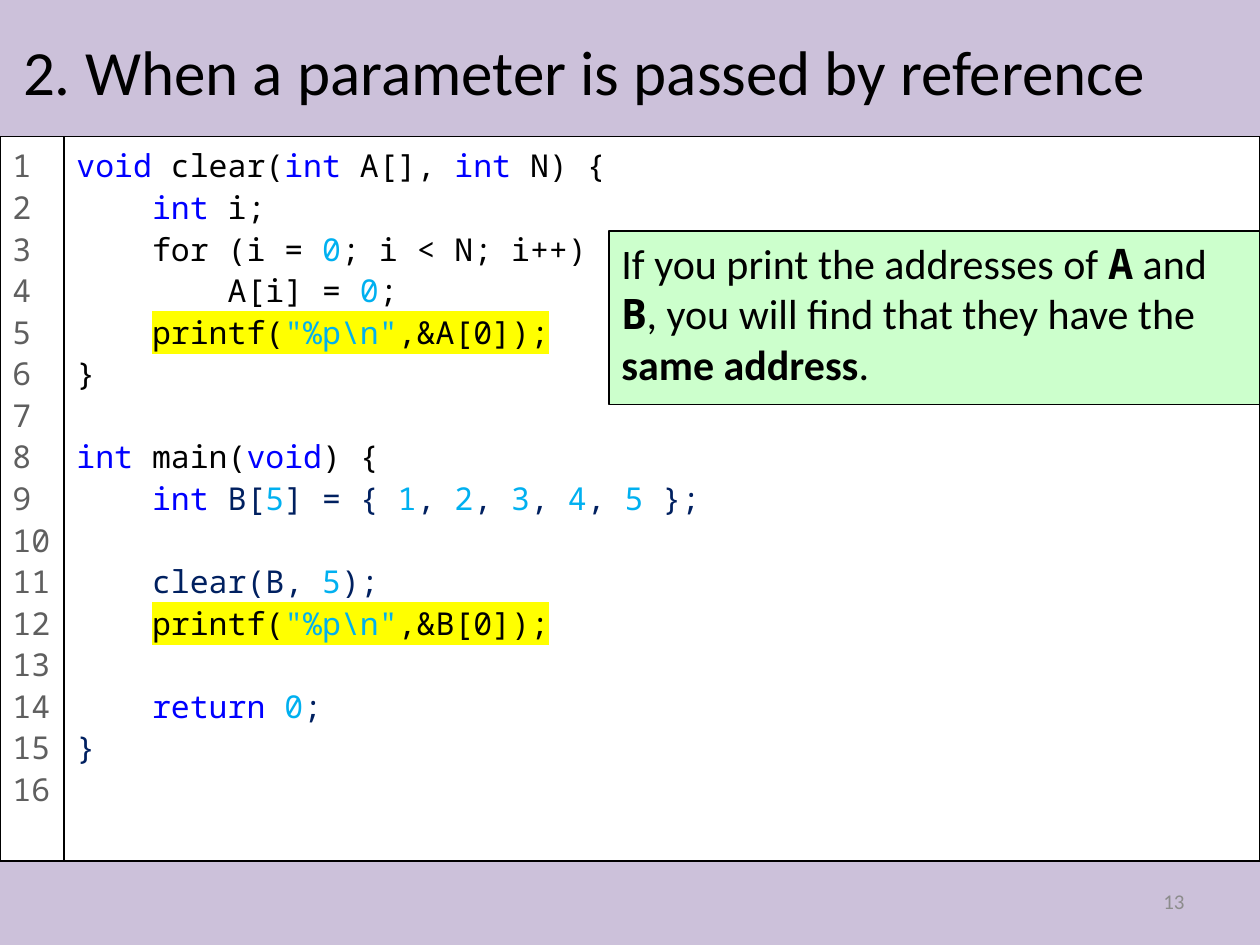
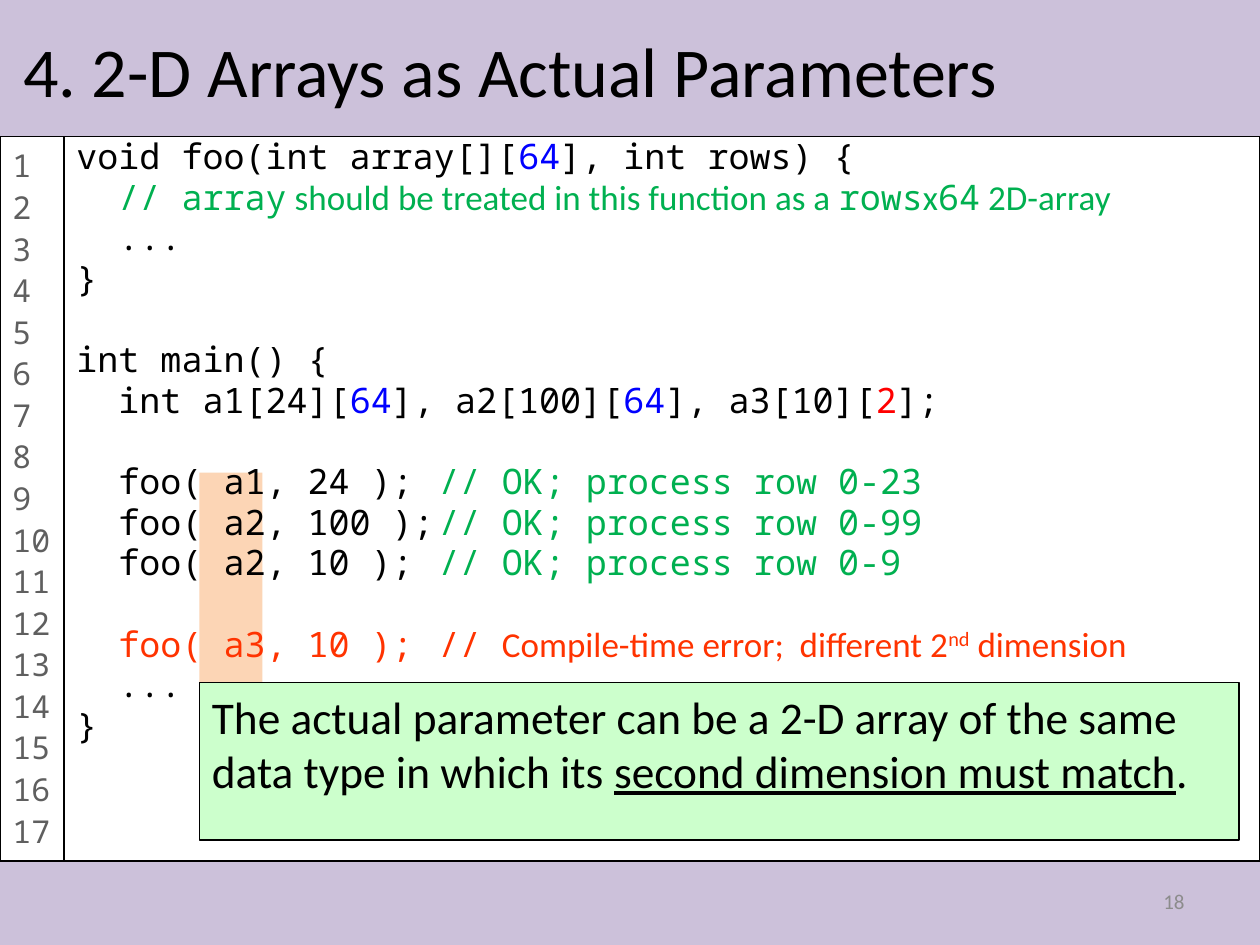
from typing import NamedTuple

from lxml.etree import SubElement
from pptx import Presentation
from pptx.dml.color import RGBColor
from pptx.enum.shapes import MSO_SHAPE
from pptx.enum.text import MSO_ANCHOR, MSO_AUTO_SIZE, PP_ALIGN
from pptx.oxml.ns import qn
from pptx.util import Inches, Pt

COLUMNS, ROWS = 120, 90
CELL = Inches(10) / COLUMNS
SANS, MONO = "Calibri", "Noto Sans Mono"
BLACK, WHITE, LILAC, MINT, PEACH = "000000", "FFFFFF", "CCC1DA", "CCFFCC", "FCD5B5"
BLUE, SKY, NAVY, GREEN = "0000FF", "00B0F0", "002060", "00B050"
RED, ORANGE, YELLOW = "FF0000", "FF3300", "FFFF00"
NUMBER_GRAY, FOOTER_GRAY = "5F5F5F", "8C8C8C"

KEYWORD = {"color": BLUE}
LITERAL = {"color": SKY}
MARKED = {"highlight": YELLOW}
MARKED_LITERAL = {"color": SKY, "highlight": YELLOW}
COMMENT = {"color": GREEN}
PROSE = {"color": GREEN, "font": SANS}
MISMATCH = {"color": RED}
ERROR_PROSE = {"font": SANS}
RAISED = {"font": SANS, "baseline": 30000}
BOLD_CODE = {"font": MONO, "bold": True}
BOLD = {"bold": True}
UNDERLINED = {"underline": True}


class Box(NamedTuple):
    left: float
    top: float
    width: float
    height: float

    def inner(self, left, top, width, height):
        return Box(self.left + left, self.top + top, width, height)

    def lengths(self):
        return [round(value * CELL) for value in self]


class Style(NamedTuple):
    size: float
    line_spacing: float
    space_before: float
    blank_line: float
    hanging: float


PAGE = Box(0, 0, COLUMNS, ROWS)
HEADER = PAGE.inner(0, 0, COLUMNS, 13)
BODY = PAGE.inner(0, 13, COLUMNS, 69)
FOOTER = PAGE.inner(0, 82, COLUMNS, 8)
GUTTER = 6.1
PLAIN_CODE = Style(18, 1.1, 0, 23.76, 0)
TIGHT_CODE = Style(20, 0.8, 4, 23.2, 27)

REFERENCE_CODE = [
    (0, BLACK, [("void", KEYWORD), " clear(", ("int", KEYWORD), " A[], ",
                ("int", KEYWORD), " N) {"]),
    (4, BLACK, [("int ", KEYWORD), "i;"]),
    (4, BLACK, ["for (i = ", ("0", LITERAL), "; i < N; i++)"]),
    (8, BLACK, ["A[i] = ", ("0", LITERAL), ";"]),
    (4, BLACK, [("printf(", MARKED), ('"%p\\n"', MARKED_LITERAL), (",&A[0]);", MARKED)]),
    (0, BLACK, ["}"]),
    None,
    (0, BLACK, [("int", KEYWORD), " main(", ("void", KEYWORD), ") {"]),
    (4, NAVY, [("int", KEYWORD), " B[", ("5", LITERAL), "] = { ", ("1", LITERAL), ", ",
               ("2", LITERAL), ", ", ("3", LITERAL), ", ", ("4", LITERAL), ", ",
               ("5", LITERAL), " };"]),
    None,
    (4, NAVY, ["clear(B, ", ("5", LITERAL), ");"]),
    (4, BLACK, [("printf(", MARKED), ('"%p\\n"', MARKED_LITERAL), (",&B[0]);", MARKED)]),
    None,
    (4, NAVY, [("return ", KEYWORD), ("0", LITERAL), ";"]),
    (0, NAVY, ["}"]),
]

ARRAY_CODE = [
    (0, BLACK, ["void foo(int array[][", ("64", KEYWORD), "], int rows) {"]),
    (2, GREEN, ["// array", (" should be treated in this function as a ", PROSE), "rows",
                ("x", PROSE), "64", (" 2D-array", PROSE)]),
    (2, BLACK, ["..."]),
    (0, BLACK, ["}"]),
    None,
    (0, BLACK, ["int main() {"]),
    (2, BLACK, ["int a1[24][", ("64", KEYWORD), "], a2[100][", ("64", KEYWORD),
                "], a3[10][", ("2", MISMATCH), "];"]),
    None,
    (2, BLACK, ["foo( a1, 24 );\t", ("// OK; process row 0-23", COMMENT)]),
    (2, BLACK, ["foo( a2, 100 );\t", ("// OK; process row 0-99", COMMENT)]),
    (2, BLACK, ["foo( a2, 10 );\t", ("// OK; process row 0-9", COMMENT)]),
    None,
    (2, ORANGE, ["foo( a3, 10 );\t// ", ("Compile-time error;  different 2", ERROR_PROSE),
                 ("nd", RAISED), (" dimension", ERROR_PROSE)]),
    (2, BLACK, ["..."]),
    (0, BLACK, ["}"]),
]


def rgb(value):
    return RGBColor.from_string(value)


def set_font(font, size, name, color):
    font.size = Pt(size)
    font.name = name
    font.color.rgb = rgb(color)


def add_box(page, box, fill=None, line=None):
    shape = page.shapes.add_shape(MSO_SHAPE.RECTANGLE, *box.lengths())
    shape.shadow.inherit = False
    if fill:
        shape.fill.solid()
        shape.fill.fore_color.rgb = rgb(fill)
    else:
        shape.fill.background()
    if line:
        shape.line.color.rgb = rgb(line)
        shape.line.width = Pt(0.75)
    else:
        shape.line.fill.background()
    shape.text_frame.word_wrap = True
    shape.text_frame.vertical_anchor = MSO_ANCHOR.TOP
    return shape


def add_spans(para, spans, size, name, color):
    para.alignment = PP_ALIGN.LEFT
    for item in spans:
        text, look = (item, {}) if isinstance(item, str) else item
        span = para.add_run()
        span.text = text
        set_font(span.font, size, look.get("font", name), look.get("color", color))
        span.font.bold = look.get("bold")
        span.font.underline = look.get("underline")
        properties = span.font._element
        if "baseline" in look:
            properties.set("baseline", str(look["baseline"]))
        if "highlight" in look:
            highlight = SubElement(properties, qn("a:highlight"))
            SubElement(highlight, qn("a:srgbClr")).set("val", look["highlight"])
            properties.find(qn("a:solidFill")).addnext(highlight)


def paragraphs(frame, count):
    yield frame.paragraphs[0]
    for _ in range(count - 1):
        yield frame.add_paragraph()


def add_bands(page):
    for box in (HEADER, FOOTER):
        band = add_box(page, box, LILAC)
        page.slide_layout.shapes.element.insert(2, band.element)


def add_title(page, box, text, size):
    title = page.shapes.title
    title.left, title.top, title.width, title.height = box.inner(1, 2.2, 117, 8.9).lengths()
    frame = title.text_frame
    frame.auto_size = MSO_AUTO_SIZE.NONE
    frame.vertical_anchor = MSO_ANCHOR.MIDDLE
    frame.text = text
    para = frame.paragraphs[0]
    para.alignment = PP_ALIGN.LEFT
    set_font(para.font, size, SANS, BLACK)


def add_code(page, box, lines, style):
    panel = add_box(page, box.inner(GUTTER, 0, box.width - GUTTER, box.height), line=BLACK)
    written = [line for line in lines if line]
    paras = paragraphs(panel.text_frame, len(written))
    gap = 0
    for line in lines:
        if line is None:
            gap += style.blank_line
            continue
        columns, color, spans = line
        para = next(paras)
        add_spans(para, spans, style.size, MONO, color)
        para.line_spacing = style.line_spacing
        para.space_before = Pt(gap)
        properties = para._p.get_or_add_pPr()
        properties.set("marL", str(Pt(style.hanging)))
        properties.set("indent", str(Pt(columns * 0.6 * style.size - style.hanging)))
        gap = style.space_before


def add_line_numbers(page, box, count):
    strip = add_box(page, box.inner(0, 0, GUTTER, box.height), WHITE, BLACK)
    strip.text_frame.margin_right = 0
    for number, para in enumerate(paragraphs(strip.text_frame, count), 1):
        para.text = str(number)
        para.alignment = PP_ALIGN.LEFT
        para.line_spacing = 1.1
        set_font(para.font, 18, MONO, NUMBER_GRAY)


def add_callout(page, box, spans, size):
    callout = add_box(page, box, MINT, BLACK)
    add_spans(callout.text_frame.paragraphs[0], spans, size, SANS, BLACK)


def add_page_number(page, box, number):
    label = page.shapes.add_textbox(*box.inner(86, 1.4, 28, 4.8).lengths())
    label.text_frame.word_wrap = True
    label.text_frame.vertical_anchor = MSO_ANCHOR.MIDDLE
    para = label.text_frame.paragraphs[0]
    para.text = str(number)
    para.alignment = PP_ALIGN.RIGHT
    set_font(para.font, 12, SANS, FOOTER_GRAY)


def add_listing_page(deck, title, title_size, lines, style, line_count, number, marker=None):
    page = deck.slides.add_slide(deck.slide_layouts[5])
    add_title(page, HEADER, title, title_size)
    if marker:
        add_box(page, marker, PEACH)
    add_code(page, BODY, lines, style)
    add_line_numbers(page, BODY, line_count)
    add_page_number(page, FOOTER, number)
    return page


def main():
    deck = Presentation()
    deck.slide_width = round(COLUMNS * CELL)
    deck.slide_height = round(ROWS * CELL)

    reference = add_listing_page(deck, "2. When a parameter is passed by reference", 36,
                                 REFERENCE_CODE, PLAIN_CODE, 16, 13)
    add_bands(reference)
    add_callout(reference, BODY.inner(58, 9, 62, 16.5), [
        "If you print the addresses of ", ("A", BOLD_CODE), " and ", ("B", BOLD_CODE),
        ", you will find that they have the ", ("same address", BOLD), "."], 24)

    arrays = add_listing_page(deck, "4. 2-D Arrays as Actual Parameters", 40,
                              ARRAY_CODE, TIGHT_CODE, 17, 18, BODY.inner(19, 32, 6, 20))
    add_callout(arrays, BODY.inner(19, 52, 99, 15), [
        "The actual parameter can be a 2-D array of the same data type in which its ",
        ("second dimension must match", UNDERLINED), "."], 25.9)

    deck.save("out.pptx")


if __name__ == "__main__":
    main()
